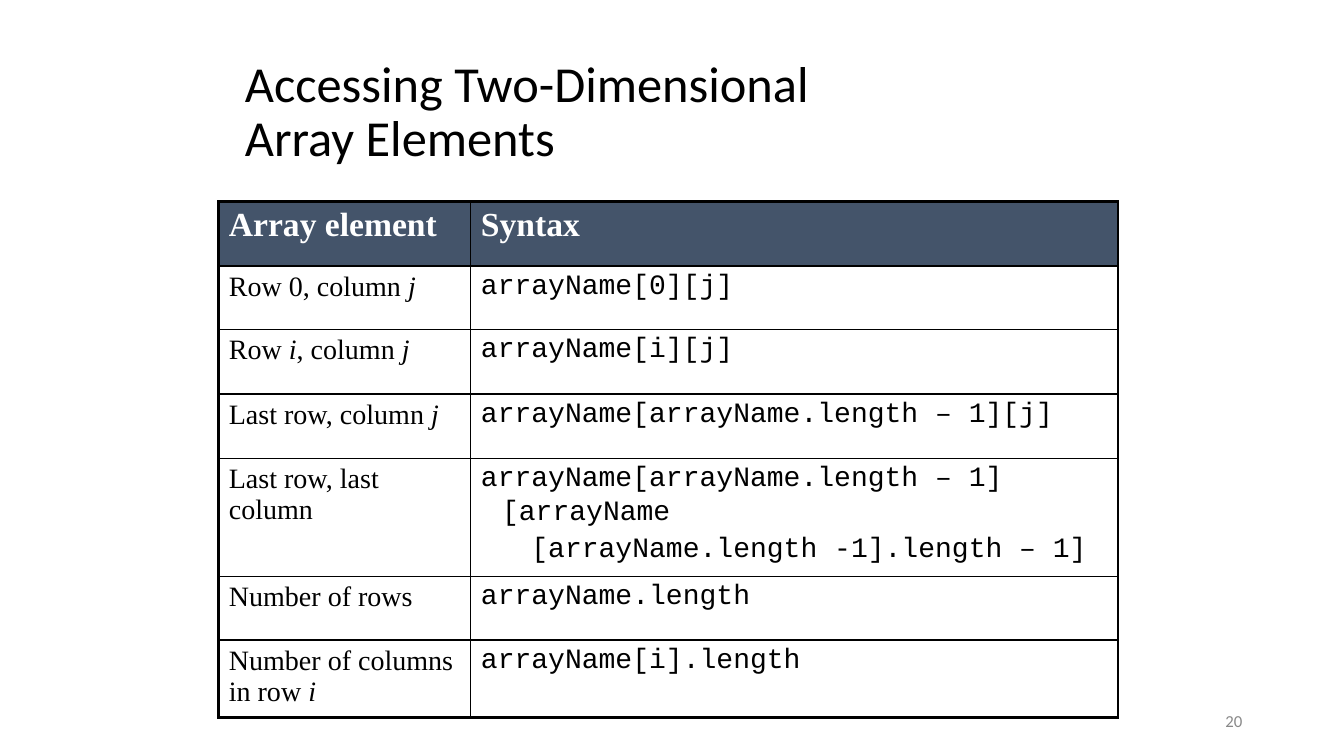
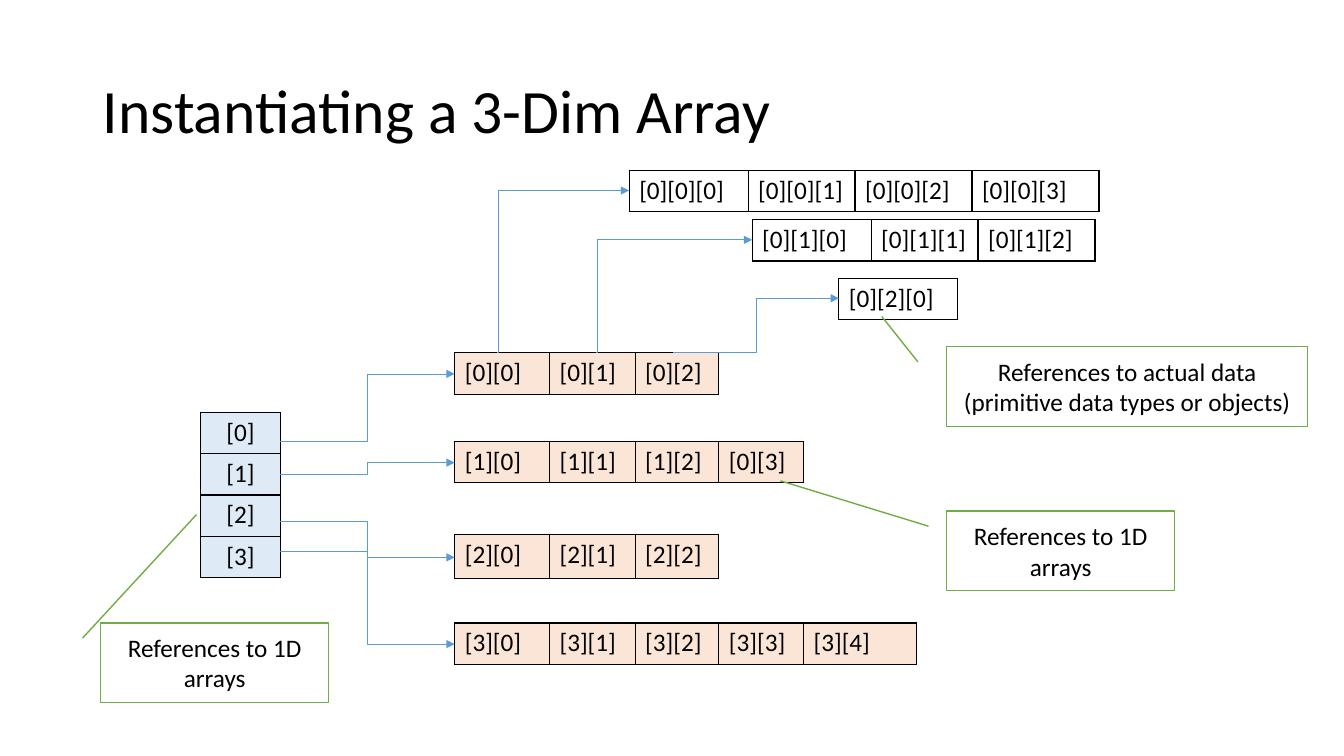
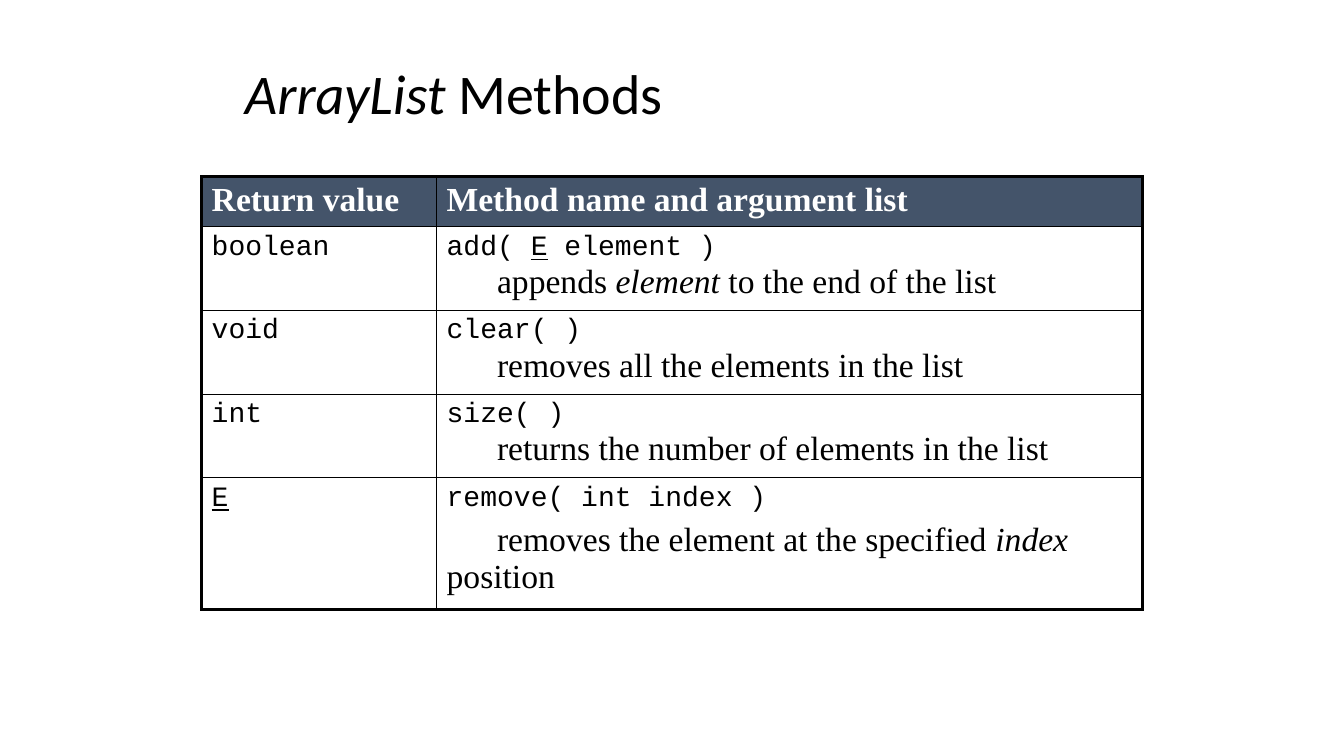
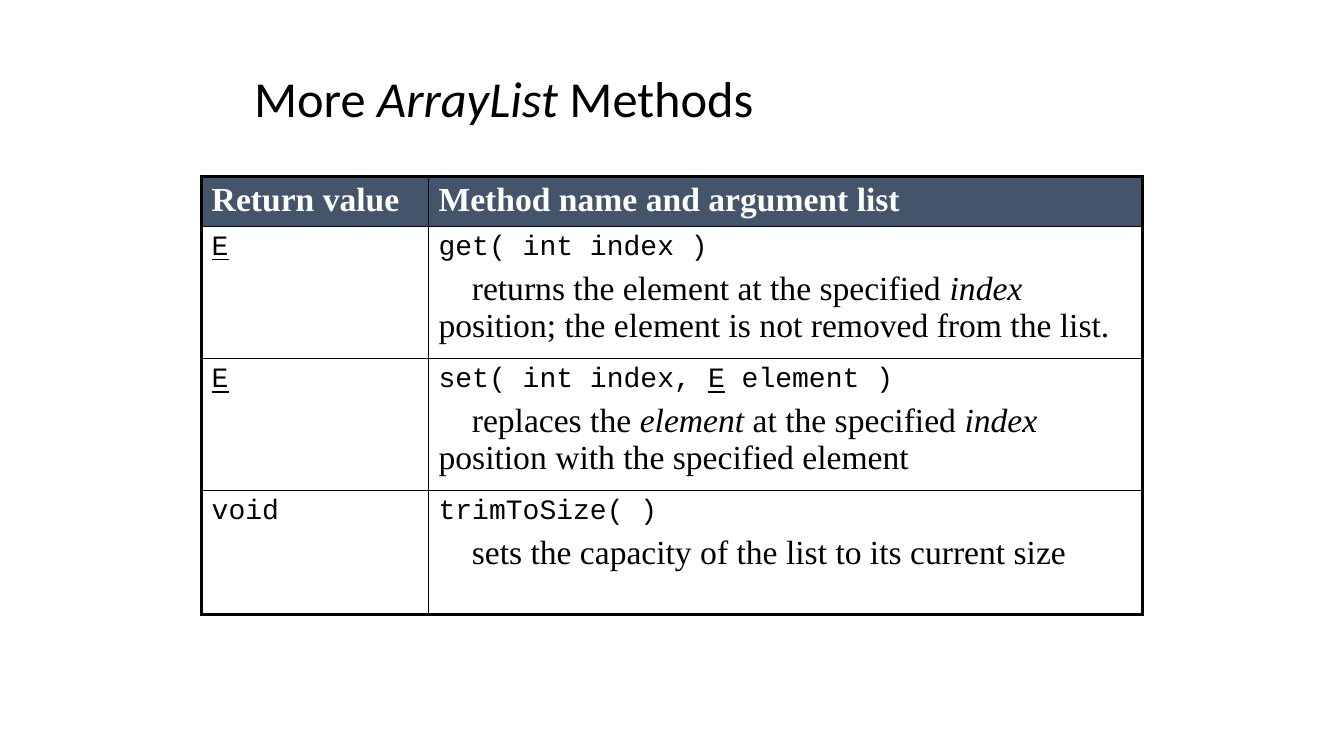
from dataclasses import dataclass, field

from lxml.etree import SubElement
from pptx import Presentation
from pptx.dml.color import RGBColor
from pptx.enum.shapes import MSO_CONNECTOR as Connector, MSO_SHAPE as Shape
from pptx.enum.text import MSO_ANCHOR as Anchor, MSO_AUTO_SIZE as AutoSize, PP_ALIGN as Align
from pptx.oxml import parse_xml
from pptx.oxml.ns import nsdecls, qn
from pptx.util import Pt

SCALE = 9144
COLORS = {
    "black": "000000", "white": "FFFFFF", "slate": "44546A", "gray": "898989",
    "sky": "DEEBF7", "peach": "FBE5D6", "blue": "5B9BD5", "green": "70AD47",
}
FONTS = {
    "title": {"name": "Calibri", "size": Pt(44)},
    "label": {"name": "Calibri", "size": Pt(18)},
    "number": {"name": "Calibri", "size": Pt(12)},
    "header": {"name": "Times New Roman", "size": Pt(24), "bold": True},
    "term": {"name": "Times New Roman", "size": Pt(20)},
    "prose": {"name": "Times New Roman", "size": Pt(24)},
    "code": {"name": "Courier New", "size": Pt(20)},
}
FONT_COLORS = {"header": "white", "number": "gray"}


@dataclass
class Para:
    """A paragraph in a named style; *stars* mark emphasis."""
    text: str
    style: str = "label"
    indent: int = 0
    before: float = 0
    align: Align = Align.LEFT
    font: dict = field(default_factory=dict)


def px(length):
    """Turn px into EMU."""
    return length * SCALE


def rgb(name):
    """Look up a named colour."""
    return RGBColor.from_string(COLORS[name])


def set_all(target, values):
    """Set every attribute in a dict of values."""
    for name, value in values.items():
        setattr(target, name, value)


class Deck:
    """Holds the presentation, its style and the current slide."""

    def __init__(self):
        self.file = Presentation()
        set_all(self.file, {"slide_width": px(1333), "slide_height": px(750)})

    def fill_text(self, frame, paras, **paragraph_format):
        """Fill a text frame with paragraphs."""
        for index, para in enumerate(paras):
            paragraph = frame.add_paragraph() if index else frame.paragraphs[0]
            if para.indent:
                paragraph._p.get_or_add_pPr().set("indent", str(px(para.indent)))
            set_all(paragraph, {"alignment": para.align, "space_before": Pt(para.before),
                                **paragraph_format})
            emphasis = "underline" if para.style == "code" else "italic"
            for part, text in enumerate(para.text.split("*")):
                for line, words in enumerate(text.split("\n")):
                    if line:
                        paragraph.add_line_break()
                    if words:
                        run = paragraph.add_run()
                        run.text = words
                        set_all(run.font, {**FONTS[para.style], **para.font,
                                           emphasis: part % 2 == 1})
                        run.font.color.rgb = rgb(FONT_COLORS.get(para.style, "black"))

    def slide(self, text, left, top, width, height, size=44):
        """Start a slide with its title."""
        self.current = self.file.slides.add_slide(self.file.slide_layouts[5])
        title = self.current.shapes.title
        set_all(title, {"left": px(left), "top": px(top),
                        "width": px(width), "height": px(height)})
        set_all(title.text_frame, {"word_wrap": True, "auto_size": AutoSize.NONE,
                                   "vertical_anchor": Anchor.MIDDLE})
        self.fill_text(title.text_frame, [Para(text, "title", font={"size": Pt(size)})],
                       line_spacing=0.9)

    def number(self, text):
        """Add the slide number."""
        frame = self.current.shapes.add_textbox(px(942), px(695), px(300), px(40)).text_frame
        set_all(frame, {"word_wrap": True, "vertical_anchor": Anchor.MIDDLE})
        self.fill_text(frame, [Para(text, "number", align=Align.RIGHT)])

    def border(self, cell, weights):
        """Draw the left, right, top and bottom borders of a cell."""
        properties = cell._tc.get_or_add_tcPr()
        for index, (side, weight) in enumerate(zip("LRTB", weights)):
            properties.insert(index, parse_xml(
                f'<a:ln{side} {nsdecls("a")} w="{Pt(weight)}"><a:solidFill>'
                f'<a:srgbClr val="{COLORS["black"]}"/></a:solidFill></a:ln{side}>'))

    def table(self, left, top, widths, heights, rows, fills, edge=1.0):
        """Add a table with one fill per row and a heavier outer edge."""
        grid = self.current.shapes.add_table(
            len(heights), len(widths), px(left), px(top),
            px(sum(widths)), px(sum(heights))).table
        set_all(grid, {"first_row": False, "horz_banding": False})
        for column, width in zip(grid.columns, widths):
            column.width = px(width)
        for r, (height, row, fill) in enumerate(zip(heights, rows, fills)):
            grid.rows[r].height = px(height)
            for c, paras in enumerate(row):
                cell = grid.cell(r, c)
                self.fill_text(cell.text_frame, paras)
                if fill:
                    cell.fill.solid()
                    cell.fill.fore_color.rgb = rgb(fill)
                else:
                    cell.fill.background()
                outer = (c == 0, c == len(widths) - 1, r == 0, r == len(heights) - 1)
                self.border(cell, [edge if side else 1 for side in outer])

    def reference(self, left, top, widths, heights, header, rows):
        """Add a table with a dark header row and a thick frame."""
        self.table(left, top, widths, heights,
                   [[[Para(text, "header")] for text in header], *rows],
                   ["slate"] + [None] * len(rows), edge=2.25)

    def array(self, left, top, widths, labels, fill=None, height=41):
        """Add one row of array cells."""
        names = labels.split()
        self.table(left, top, widths[:len(names)], [height],
                   [[[Para(name)] for name in names]], [fill])

    def arrow(self, start, end, bend=50):
        """Add an elbow arrow that turns at a percentage of its width."""
        line = self.current.shapes.add_connector(Connector.ELBOW, *map(px, start + end))
        line.line.color.rgb = rgb("blue")
        line.line.width = Pt(0.5)
        properties = line._element.spPr
        SubElement(properties.find(qn("a:ln")), qn("a:tailEnd"), type="triangle")
        SubElement(properties, qn("a:effectLst"))
        guides = properties.find(qn("a:prstGeom")).get_or_add_avLst()
        SubElement(guides, qn("a:gd"), name="adj1", fmla=f"val {bend * 1000}")

    def callout(self, text, left, top, width, tip):
        """Add a note whose line ends at tip, given as shares of height and width."""
        note = self.current.shapes.add_shape(
            Shape.LINE_CALLOUT_1, px(left), px(top), px(width), px(79))
        note.shadow.inherit = False
        note.fill.solid()
        note.fill.fore_color.rgb = rgb("white")
        note.line.color.rgb = rgb("green")
        note.line.width = Pt(1)
        for index, share in enumerate((0.19, -0.08, *tip)):
            note.adjustments[index] = share
        set_all(note.text_frame, {"word_wrap": True, "vertical_anchor": Anchor.MIDDLE})
        self.fill_text(note.text_frame, [Para(text, align=Align.CENTER)])


def method(returns, call, effect, indent, before=0.0):
    """Build the table row of one method."""
    return [[Para(returns, "code")],
            [Para(call, "code"), Para(effect, "prose", indent=indent, before=before)]]


def access_slide(deck):
    """Build the slide on element access."""
    deck.slide("Accessing Two-Dimensional\nArray Elements", 233, 50, 867, 125, size=36)
    syntax = {
        "Row 0, column *j*": [Para("arrayName[0][j]", "code")],
        "Row *i*, column *j*": [Para("arrayName[i][j]", "code")],
        "Last row, column *j*": [Para("arrayName[arrayName.length – 1][j]", "code")],
        "Last row, last column": [
            Para("arrayName[arrayName.length – 1]", "code"),
            Para("[arrayName", "code", indent=21, before=1),
            Para("   [arrayName.length -1].length – 1]", "code", before=4)],
        "Number of rows": [Para("arrayName.length", "code")],
        "Number of columns in row *i*": [Para("arrayName[i].length", "code")],
    }
    deck.reference(217, 200, [250, 642], [64, 63, 64, 64, 117, 63, 77],
                   ["Array element", "Syntax"],
                   [[[Para(element, "term")], code] for element, code in syntax.items()])
    deck.number("20")


def three_dim_slide(deck):
    """Build the diagram of a three-dimensional array."""
    deck.slide("Instantiating a 3-Dim Array", 92, 40, 1150, 145)
    deck.table(199, 409, [79], [41] * 4,
               [[[Para(f"[{row}]", align=Align.CENTER)]] for row in range(4)], ["sky"] * 4)

    row_widths = [94, 85, 83, 84, 112]
    for top, height, exit_y, labels in (
            (350, 41, 438, "[0][0] [0][1] [0][2]"),
            (438, 41, 471, "[1][0] [1][1] [1][2] [0][3]"),
            (530, 44, 517, "[2][0] [2][1] [2][2]"),
            (618, 41, 547, "[3][0] [3][1] [3][2] [3][3] [3][4]")):
        deck.array(451, top, row_widths, labels, "peach", height)
        deck.arrow((278, exit_y), (451, top + height // 2 + 1))

    data_widths = [118, 106, 116, 126]
    for left, top, exit_x, bend, labels in (
            (624, 169, 493, 1, "[0][0][0] [0][0][1] [0][0][2] [0][0][3]"),
            (746, 218, 591, 1, "[0][1][0] [0][1][1] [0][1][2]"),
            (832, 276, 668, 50, "[0][2][0]")):
        deck.array(left, top, data_widths, labels)
        deck.arrow((exit_x, 350), (left, top + 20), bend)

    deck.callout("References to 1D arrays", 100, 618, 226, (-1.36, 0.42))
    deck.callout("References to 1D arrays", 939, 507, 226, (-0.38, -0.73))
    deck.callout("References to actual data (primitive data types or objects)",
                 939, 344, 358, (-0.38, -0.18))


def method_slides(deck):
    """Build the two slides of list methods."""
    header = ["Return value", "Method name and argument list"]
    deck.slide("*ArrayList* Methods", 233, 58, 858, 75, size=40)
    deck.reference(200, 175, [233, 700], [50, 83, 83, 83, 131], header, [
        method("boolean", "add( *E* element )",
               "appends *element* to the end of the list", 50),
        method("void", "clear( )", "removes all the elements in the list", 50),
        method("int", "size( )", "returns the number of elements in the list", 50),
        method("*E*", "remove( int index )",
               "removes the element at the specified *index* position", 50, 4.8),
    ])
    deck.slide("More *ArrayList* Methods", 242, 67, 858, 67, size=36)
    deck.reference(200, 175, [225, 708], [50, 131, 131, 123], header, [
        method("*E*", "get( int index )",
               "returns the element at the specified *index* position; "
               "the element is not removed from the list.", 33, 4.8),
        method("*E*", "set( int index, *E* element )",
               "replaces the *element* at the specified *index* position "
               "with the specified element", 33, 4.8),
        method("void", "trimToSize( )",
               "sets the capacity of the list to its current size", 33, 4.8),
    ])


def main():
    """Build and save the presentation."""
    deck = Deck()
    access_slide(deck)
    three_dim_slide(deck)
    method_slides(deck)
    deck.file.save("out.pptx")


if __name__ == "__main__":
    main()
